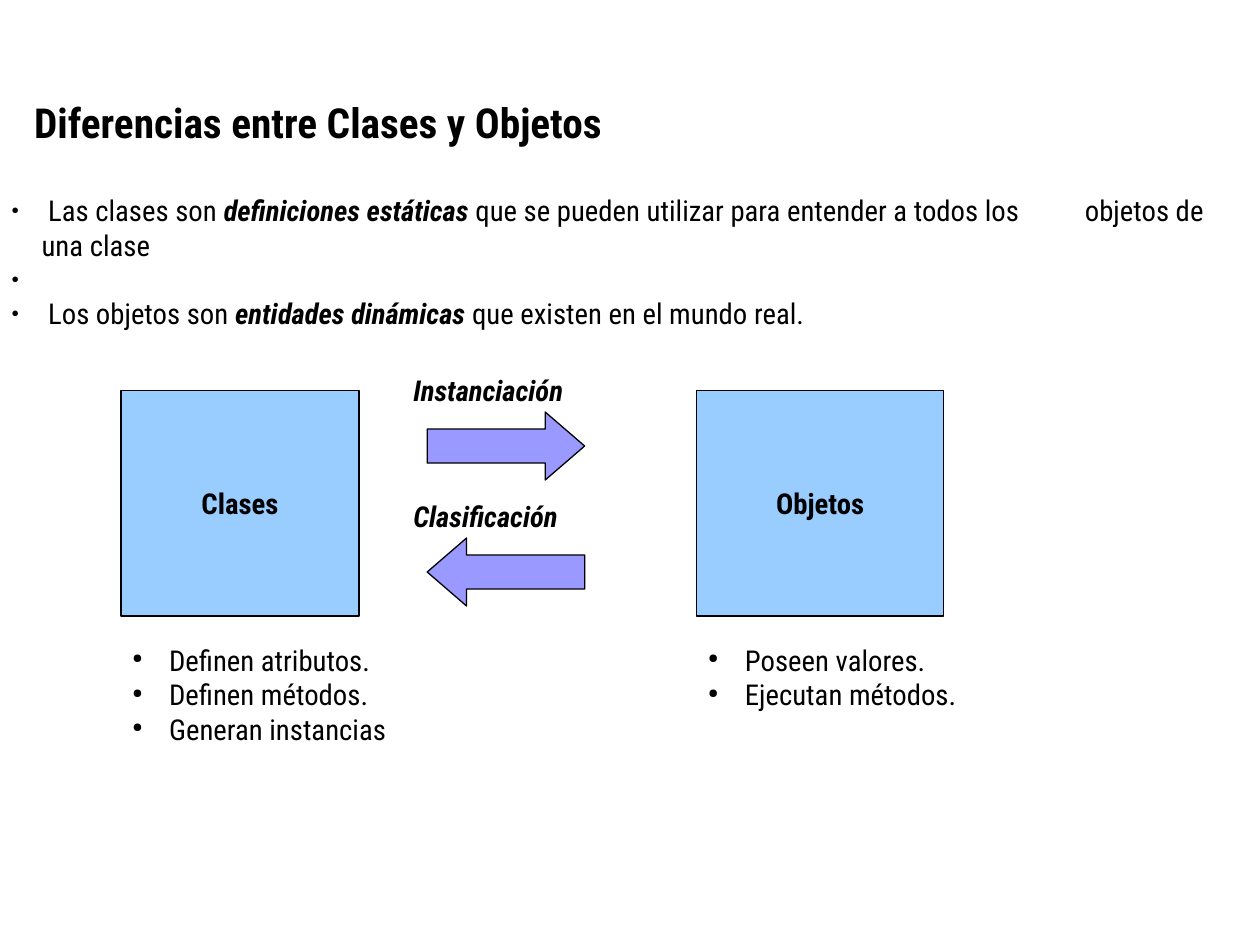
from lxml import etree
from pptx import Presentation
from pptx.dml.color import RGBColor
from pptx.enum.shapes import MSO_SHAPE
from pptx.enum.text import MSO_ANCHOR, MSO_AUTO_SIZE, PP_ALIGN
from pptx.oxml.ns import qn
from pptx.util import Inches, Pt

RECT, RIGHT_ARROW, LEFT_ARROW = MSO_SHAPE.RECTANGLE, MSO_SHAPE.RIGHT_ARROW, MSO_SHAPE.LEFT_ARROW
TOP, MIDDLE = MSO_ANCHOR.TOP, MSO_ANCHOR.MIDDLE
LEFT, CENTER = PP_ALIGN.LEFT, PP_ALIGN.CENTER
NO_FIT = MSO_AUTO_SIZE.NONE

BLACK = RGBColor(0x00, 0x00, 0x00)
BOX_BLUE = RGBColor(0x99, 0xCC, 0xFF)
ARROW_VIOLET = RGBColor(0x99, 0x99, 0xFF)

TAB_POS = Inches(8.52)
HANG = Inches(0.24)


def add_run(p, text, size=16.4, bold=False, italic=False, font="Roboto Condensed", color=BLACK):
    r = p.add_run()
    r.text = text
    r.font.name = font
    r.font.size = Pt(size)
    r.font.bold = bold
    r.font.italic = italic
    r.font.color.rgb = color


def set_bullet(p):
    """Give the paragraph a small round bullet, a hanging indent and a tab stop."""
    pPr = p._p.get_or_add_pPr()
    pPr.set("marL", str(HANG))
    pPr.set("indent", str(-HANG))
    color = etree.SubElement(pPr, qn("a:buClr"))
    etree.SubElement(color, qn("a:srgbClr"), val=str(BLACK))
    etree.SubElement(pPr, qn("a:buSzPct"), val="45000")
    etree.SubElement(pPr, qn("a:buChar"), char="●")
    tabs = etree.SubElement(pPr, qn("a:tabLst"))
    etree.SubElement(tabs, qn("a:tab"), pos=str(TAB_POS), algn="l")


class SlideBuilder:
    def __init__(self, s):
        self.s = s

    def frame(self, sp, anchor=TOP, wrap=True):
        tf = sp.text_frame
        tf.auto_size = NO_FIT
        tf.word_wrap = wrap
        tf.vertical_anchor = anchor
        tf.margin_left = tf.margin_right = Inches(0.09)
        tf.margin_top = tf.margin_bottom = Inches(0.04)
        return tf

    def place(self, sp, x, y, w, h):
        sp.left, sp.top, sp.width, sp.height = Inches(x), Inches(y), Inches(w), Inches(h)

    def textbox(self, x, y, w, h):
        return self.s.shapes.add_textbox(Inches(x), Inches(y), Inches(w), Inches(h))

    def title(self, text, *at):
        sp = self.s.shapes.title
        self.place(sp, *at)
        p = self.frame(sp).paragraphs[0]
        p.alignment = LEFT
        add_run(p, text, size=23.6, bold=True)

    def fill_list(self, sp, items):
        """Each item is a list of texts; every second text is emphasised."""
        tf = self.frame(sp)
        for i, texts in enumerate(items):
            p = tf.add_paragraph() if i else tf.paragraphs[0]
            p.space_before = Pt(0)
            set_bullet(p)
            for j, text in enumerate(texts):
                add_run(p, text, bold=j % 2 == 1, italic=j % 2 == 1)

    def body(self, items, *at):
        sp = self.s.placeholders[1]
        self.place(sp, *at)
        self.fill_list(sp, items)

    def bullets(self, items, *at):
        self.fill_list(self.textbox(*at), [[f" {item}"] for item in items])

    def label(self, text, *at):
        p = self.frame(self.textbox(*at)).paragraphs[0]
        add_run(p, text, bold=True, italic=True)

    def shape(self, kind, fill, x, y, w, h):
        sp = self.s.shapes.add_shape(kind, Inches(x), Inches(y), Inches(w), Inches(h))
        sp.shadow.inherit = False
        sp.fill.solid()
        sp.fill.fore_color.rgb = fill
        sp.line.color.rgb = BLACK
        sp.line.width = Pt(0.75)
        return sp

    def box(self, text, *at):
        sp = self.shape(RECT, BOX_BLUE, *at)
        p = self.frame(sp, MIDDLE, wrap=False).paragraphs[0]
        p.alignment = CENTER
        add_run(p, text, bold=True)

    def arrow(self, kind, *at):
        sp = self.shape(kind, ARROW_VIOLET, *at)
        sp.adjustments[0] = 0.5
        sp.adjustments[1] = 0.58


def main():
    prs = Presentation()
    prs.slide_width, prs.slide_height = Inches(10), Inches(7.5)
    b = SlideBuilder(prs.slides.add_slide(prs.slide_layouts[1]))

    b.title("Diferencias entre Clases y Objetos", 0.18, 0.73, 9.64, 0.47)
    b.body([
        [" Las clases son ", "definiciones estáticas",
         " que se pueden utilizar para entender a todos los\tobjetos de una clase"],
        [" "],
        [" Los objetos son ", "entidades dinámicas", " que existen en el mundo real."],
    ], 0, 1.49, 10, 1.15)

    columns = [
        ("Clases", 0.96, 1.89, ["Definen atributos.", "Definen métodos.", "Generan instancias"]),
        ("Objetos", 5.53, 1.96, ["Poseen valores.", "Ejecutan métodos."]),
    ]
    for name, x, w, items in columns:
        b.box(name, x, 3.1, w, 1.79)
        b.bullets(items, x, 5.06, 2.44, 0.89)

    steps = [("Instanciación", RIGHT_ARROW), ("Clasificación", LEFT_ARROW)]
    for i, (name, kind) in enumerate(steps):
        b.label(name, 3.19, 2.92 + i, 1.81, 0.36)
        b.arrow(kind, 3.39, 3.27 + i, 1.25, 0.54)

    prs.save("out.pptx")


if __name__ == "__main__":
    main()
